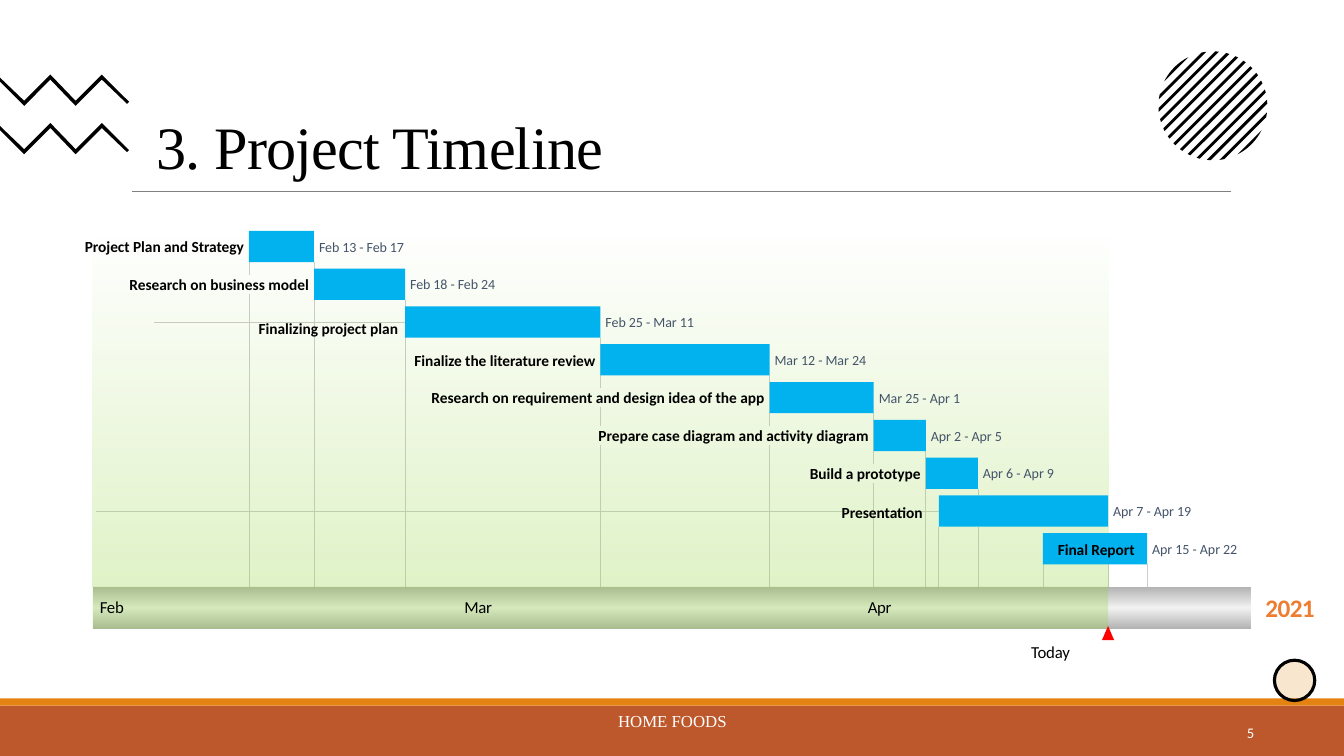
from dataclasses import dataclass
from math import acos, cos, pi, sin, sqrt

from lxml.etree import SubElement
from pptx import Presentation
from pptx.dml.color import RGBColor
from pptx.enum.shapes import MSO_CONNECTOR, MSO_SHAPE
from pptx.enum.text import MSO_ANCHOR, PP_ALIGN
from pptx.oxml import parse_xml
from pptx.oxml.ns import nsdecls, qn
from pptx.util import Inches, Pt

TITLE = "3. Project Timeline"
FOOTER = "HOME FOODS"
PAGE_NUMBER = "5"
YEAR = "2021"
TODAY = "Today"

MONTH_STARTS = {"Feb": 0, "Mar": 28, "Apr": 59}
MONTH_WIDTHS = {"Feb": 0.24, "Mar": 0.28, "Apr": 0.24}
TOTAL_DAYS = 89
TODAY_DAY = 78

TASKS = [
    ("Project Plan and Strategy", "Feb 13 - Feb 17", 1.6, 0.86, -0.05, -0.05),
    ("Research on business model", "Feb 18 - Feb 24", 1.79, 0.86, -0.04, -0.05),
    ("Finalizing project plan", "Feb 25 - Mar 11", 1.39, 0.89, -0.04, -0.04),
    ("Finalize the literature review", "Mar 12 - Mar 24", 1.82, 0.93, -0.05, -0.04),
    ("Research on requirement and design idea of the app", "Mar 25 - Apr 1", 3.32, 0.82, -0.04, -0.04),
    ("Prepare case diagram and activity diagram", "Apr 2 - Apr 5", 2.69, 0.72, -0.04, -0.04),
    ("Build a prototype", "Apr 6 - Apr 9", 1.11, 0.72, -0.04, -0.04),
    ("Presentation", "Apr 7 - Apr 19", 0.82, 0.79, -0.05, -0.04),
    ("Final Report", "Apr 15 - Apr 22", 0.78, 0.86, -0.05, -0.04),
]
NAME_SHIFTS = {2: (-0.02, 0.06), 7: (-0.11, 0.01), 8: (0.96, 0)}
GUIDES = [
    (12, 0, [1]), (17, 0, []), (24, 1, []), (39, 2, [4, 5]), (52, 3, [5]), (60, 4, [6]),
    (64, 5, []), (68, 6, [7]), (65, 7, []), (78, 8, []), (73, 8, []), (81, 8, []),
]
LEADERS = [(1.53, 2), (0.95, 7)]
ZIGZAG = [
    (0, 0.77), (0.24, 1), (0.5, 0.74), (0.75, 1), (1.01, 0.74), (1.28, 1.01),
    (1.26, 1.03), (1.01, 0.79), (0.75, 1.05), (0.5, 0.79), (0.24, 1.05), (0, 0.81),
]


@dataclass(frozen=True)
class Theme:
    serif: str = "Times New Roman"
    sans: str = "Calibri"
    black: str = "000000"
    white: str = "FFFFFF"
    rust: str = "BD582C"
    orange: str = "E48312"
    year: str = "ED7D31"
    rule: str = "808080"
    guide: str = "CCCCCC"
    silver: str = "B2B2B2"
    pale: str = "F2F2F2"
    green: str = "96D642"
    bar: str = "02B2EE"
    slate: str = "44546A"
    red: str = "FF0000"
    title_size: float = 43
    year_size: float = 18
    body_size: float = 12
    name_size: float = 11
    number_size: float = 10.5
    date_size: float = 10


THEME = Theme()
WIDTH, HEIGHT = 13.33, 7.5
AXIS_LEFT, AXIS_TOP, AXIS_WIDTH, AXIS_HEIGHT = 0.92, 5.82, 11.49, 0.42
ROWS_TOP, ROW_PITCH, BAR_HEIGHT = 2.29, 0.375, 0.31
NAME_HEIGHT, DATE_HEIGHT, LABEL_GAP = 0.19, 0.17, 0.05

deck = Presentation()
deck.slide_width, deck.slide_height = Inches(WIDTH), Inches(HEIGHT)
page = deck.slides.add_slide(deck.slide_layouts[5])


def day_x(day):
    return AXIS_LEFT + day * AXIS_WIDTH / TOTAL_DAYS


def row_y(row):
    return ROWS_TOP + row * ROW_PITCH


def name_y(row):
    return row_y(row) + (BAR_HEIGHT - NAME_HEIGHT) / 2


def day_span(dates):
    (month, day), (last_month, last_day) = (part.split() for part in dates.split(" - "))
    return MONTH_STARTS[month] + int(day) - 1, MONTH_STARTS[last_month] + int(last_day)


def paint(shape, color, opacity=100):
    shape.shadow.inherit = False
    shape.line.fill.background()
    shape.fill.solid()
    shape.fill.fore_color.rgb = RGBColor.from_string(color)
    if opacity < 100:
        color_node = shape._element.spPr.find(qn("a:solidFill"))[0]
        SubElement(color_node, qn("a:alpha"), val=str(opacity * 1000))


def add_block(kind, left, top, width, height, color, opacity=100):
    shape = page.shapes.add_shape(kind, *map(Inches, (left, top, width, height)))
    paint(shape, color, opacity)
    return shape


def set_gradient(shape, stops):
    marks = "".join(
        f'<a:gs pos="{place * 1000}"><a:srgbClr val="{color}">'
        f'<a:alpha val="{opacity * 1000}"/></a:srgbClr></a:gs>'
        for place, color, opacity in stops
    )
    gradient = parse_xml(
        f'<a:gradFill {nsdecls("a")} rotWithShape="1"><a:gsLst>{marks}</a:gsLst>'
        '<a:lin ang="5400000" scaled="0"/></a:gradFill>'
    )
    properties = shape._element.spPr
    properties.replace(properties.find(qn("a:solidFill")), gradient)


def add_outline(points):
    corners = [(Inches(x), Inches(y)) for x, y in points]
    builder = page.shapes.build_freeform(*corners[0])
    builder.add_line_segments(corners[1:], close=True)
    paint(builder.convert_to_shape(), THEME.black)


def add_line(x1, y1, x2, y2, color):
    line = page.shapes.add_connector(MSO_CONNECTOR.STRAIGHT, *map(Inches, (x1, y1, x2, y2)))
    line.line.color.rgb = RGBColor.from_string(color)
    line.line.width = Pt(0.5)
    SubElement(line._element.spPr, qn("a:effectLst"))


def style(paragraph, size, color, face, bold=False, spacing=0):
    paragraph.font.size = Pt(size)
    paragraph.font.name = face
    paragraph.font.bold = bold
    paragraph.font.color.rgb = RGBColor.from_string(color)
    for span in paragraph.runs:
        span._r.get_or_add_rPr().set("spc", str(round(spacing * 100)))


def add_text(text, left, top, width, height, size, color, align=PP_ALIGN.LEFT,
             face=THEME.sans, bold=False, spacing=0, wrap=True):
    box = page.shapes.add_textbox(*map(Inches, (left, top, width, height)))
    frame = box.text_frame
    frame.margin_left = frame.margin_right = frame.margin_top = frame.margin_bottom = 0
    frame.word_wrap = wrap
    frame.vertical_anchor = MSO_ANCHOR.MIDDLE
    para = frame.paragraphs[0]
    para.text = text
    para.alignment = align
    style(para, size, color, face, bold, spacing)


def add_decoration():
    add_block(MSO_SHAPE.RECTANGLE, 0, 7, WIDTH, 0.5, THEME.rust)
    add_block(MSO_SHAPE.RECTANGLE, 0, 6.93, WIDTH, 0.07, THEME.orange)
    add_line(1.31, 1.9, 12.21, 1.9, THEME.rule)
    center_x, center_y, radius = 12.03, 1.05, 0.54
    for stripe in range(-6, 7):
        middle = stripe * radius * 0.23
        near, far = (
            acos(max(-1, min(1, (middle + half) / sqrt(2) / radius))) for half in (-0.02, 0.02)
        )
        arc = [near + (far - near) * step / 6 for step in range(7)]
        angles = [pi / 4 + turn for turn in arc] + [pi / 4 - turn for turn in reversed(arc)]
        add_outline([(center_x + radius * cos(a), center_y + radius * sin(a)) for a in angles])
    for drop in (0, 0.48):
        add_outline([(x, y + drop) for x, y in ZIGZAG])
    circle = add_block(MSO_SHAPE.OVAL, 12.64, 6.55, 0.4, 0.4, THEME.orange, 20)
    circle.line.color.rgb = RGBColor.from_string(THEME.black)
    circle.line.width = Pt(2.25)


def add_headings():
    title = page.shapes.title
    title.left, title.top, title.width, title.height = map(Inches, (1.45, 0.62, 5.21, 1.23))
    title.text_frame.vertical_anchor = MSO_ANCHOR.BOTTOM
    para = title.text_frame.paragraphs[0]
    para.text = TITLE
    para.alignment = PP_ALIGN.LEFT
    para.line_spacing = 0.85
    style(para, THEME.title_size, THEME.black, THEME.serif, spacing=-0.5)
    add_text(FOOTER, 4.42, 6.95, 4.5, 0.4, THEME.body_size, THEME.white, PP_ALIGN.CENTER, THEME.serif)
    add_text(PAGE_NUMBER, 9.44, 7.07, 3, 0.4, THEME.number_size, THEME.white, PP_ALIGN.RIGHT)
    add_text(YEAR, 12.55, 5.87, 0.49, 0.31, THEME.year_size, THEME.year, PP_ALIGN.CENTER,
             bold=True, spacing=-0.4, wrap=False)


def add_guides():
    for day, first_row, crossed_rows in GUIDES:
        top = row_y(first_row) + BAR_HEIGHT
        for row in crossed_rows:
            start, end = day_span(TASKS[row][1])
            behind_bar = start < day < end
            gap_top = row_y(row) if behind_bar else name_y(row)
            add_line(day_x(day), top, day_x(day), gap_top, THEME.guide)
            top = gap_top + (BAR_HEIGHT if behind_bar else NAME_HEIGHT)
        add_line(day_x(day), top, day_x(day), AXIS_TOP, THEME.guide)
    for left, row in LEADERS:
        middle = row_y(row) + BAR_HEIGHT / 2
        add_line(left, middle, day_x(day_span(TASKS[row][1])[0]), middle, THEME.guide)


def add_axis():
    elapsed = day_x(TODAY_DAY) - AXIS_LEFT
    axis = add_block(MSO_SHAPE.RECTANGLE, AXIS_LEFT, AXIS_TOP, AXIS_WIDTH, AXIS_HEIGHT, THEME.pale)
    set_gradient(axis, [(0, THEME.silver, 100), (50, THEME.pale, 100), (100, THEME.silver, 100)])
    add_block(MSO_SHAPE.RECTANGLE, AXIS_LEFT, AXIS_TOP, elapsed, AXIS_HEIGHT, THEME.green, 30)
    shade = add_block(MSO_SHAPE.RECTANGLE, AXIS_LEFT, ROWS_TOP, elapsed, AXIS_TOP - ROWS_TOP, THEME.green)
    set_gradient(shade, [(0, THEME.green, 0), (100, THEME.green, 30)])
    add_block(MSO_SHAPE.ISOSCELES_TRIANGLE, day_x(TODAY_DAY) - 0.06, 6.21, 0.12, 0.14, THEME.red)
    add_text(TODAY, 10.22, 6.37, 0.4, 0.2, THEME.body_size, THEME.black, PP_ALIGN.CENTER,
             spacing=-0.1, wrap=False)
    for month, day in MONTH_STARTS.items():
        add_text(month, day_x(day) + 0.07, 5.92, MONTH_WIDTHS[month], 0.2, THEME.body_size,
                 THEME.black, spacing=-0.2, wrap=False)


def add_tasks():
    for row, (name, dates, name_width, date_width, name_spacing, date_spacing) in enumerate(TASKS):
        start, end = day_span(dates)
        left, right = day_x(start), day_x(end)
        add_block(MSO_SHAPE.RECTANGLE, left, row_y(row), right - left, BAR_HEIGHT, THEME.bar)
        shift_x, shift_y = NAME_SHIFTS.get(row, (0, 0))
        add_text(name, left - LABEL_GAP - name_width + shift_x, name_y(row) + shift_y,
                 name_width, NAME_HEIGHT, THEME.name_size, THEME.black, PP_ALIGN.RIGHT,
                 bold=True, spacing=name_spacing)
        add_text(dates, right + LABEL_GAP, row_y(row) + (BAR_HEIGHT - DATE_HEIGHT) / 2,
                 date_width, DATE_HEIGHT, THEME.date_size, THEME.slate, spacing=date_spacing)


def main():
    add_decoration()
    add_headings()
    add_guides()
    add_axis()
    add_tasks()
    deck.save("out.pptx")


if __name__ == "__main__":
    main()
